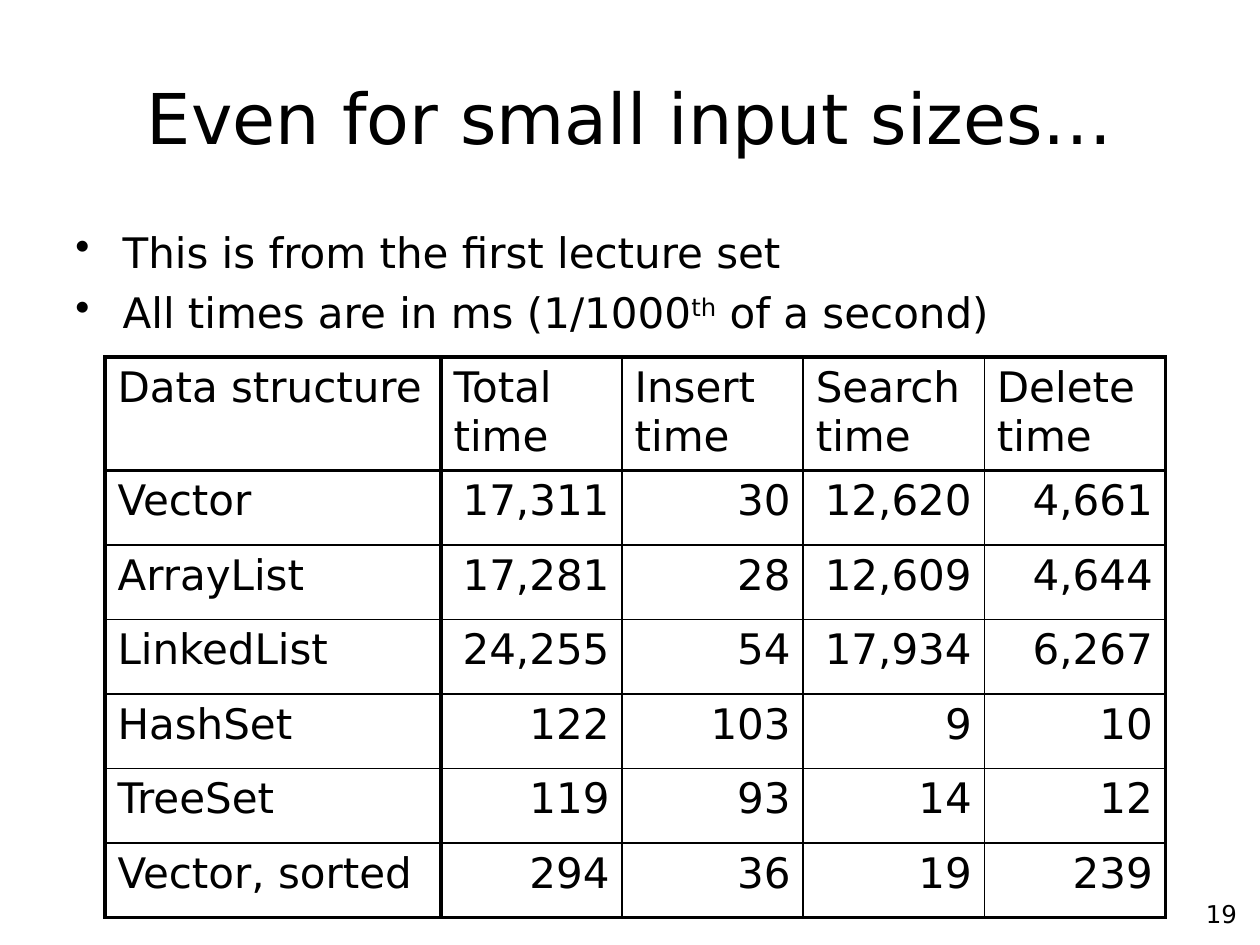
from lxml.etree import SubElement
from pptx import Presentation
from pptx.dml.color import RGBColor
from pptx.enum.text import MSO_ANCHOR, PP_ALIGN
from pptx.oxml.ns import qn
from pptx.util import Pt

BLACK = "000000"
FONT = "DejaVu Sans"
THICK, THIN = 2.25, 1


def style_text(paragraph, size, color=BLACK):
    for run in paragraph.runs:
        run.font.name = FONT
        run.font.size = Pt(size)
        run.font.color.rgb = RGBColor.from_string(color)


def add_border(cell, side, width, color=BLACK):
    line = SubElement(cell._tc.get_or_add_tcPr(), qn(f"a:{side}"), w=str(Pt(width)))
    fill = SubElement(line, qn("a:solidFill"))
    SubElement(fill, qn("a:srgbClr"), val=color)


prs = Presentation()
prs.slide_width, prs.slide_height = Pt(720), Pt(540)
slide = prs.slides.add_slide(prs.slide_layouts[6])

# Slide number and title
labels = [
    ("19", (564, 510, 150, 26.6), 14, PP_ALIGN.RIGHT, MSO_ANCHOR.TOP),
    ("Even for small input sizes…", (36, 21.6, 648, 90), 40,
     PP_ALIGN.CENTER, MSO_ANCHOR.MIDDLE),
]
for text, place, size, alignment, anchor in labels:
    frame = slide.shapes.add_textbox(*map(Pt, place)).text_frame
    frame.word_wrap = True
    frame.vertical_anchor = anchor
    frame.text = text
    frame.paragraphs[0].alignment = alignment
    style_text(frame.paragraphs[0], size)

# Bullets, each a list of (text, baseline shift)
bullets = [
    [("This is from the first lecture set", 0)],
    [("All times are in ms (1/1000", 0), ("th", 30000), (" of a second)", 0)],
]
body = slide.shapes.add_textbox(Pt(36), Pt(126), Pt(648), Pt(356.4)).text_frame
body.word_wrap = True
for index, parts in enumerate(bullets):
    bullet = body.add_paragraph() if index else body.paragraphs[0]
    bullet.space_before = Pt(5.6 if index else 0)
    properties = bullet._p.get_or_add_pPr()
    properties.set("marL", str(Pt(27)))
    properties.set("indent", str(Pt(-27)))
    SubElement(properties, qn("a:buChar"), char="•")
    for text, shift in parts:
        run = bullet.add_run()
        run.text = text
        if shift:
            run.font._element.set("baseline", str(shift))
    style_text(bullet, 24)

# Timing table
timings = [
    ["Data structure", "Total time", "Insert time", "Search time", "Delete time"],
    ["Vector", "17,311", "30", "12,620", "4,661"],
    ["ArrayList", "17,281", "28", "12,609", "4,644"],
    ["LinkedList", "24,255", "54", "17,934", "6,267"],
    ["HashSet", "122", "103", "9", "10"],
    ["TreeSet", "119", "93", "14", "12"],
    ["Vector, sorted", "294", "36", "19", "239"],
]
widths = [192] + [103.5] * 4
heights = [63] + [42.6] * 6
table = slide.shapes.add_table(
    len(heights), len(widths), Pt(60), Pt(204), Pt(sum(widths)), Pt(sum(heights))
).table
table.first_row = table.horz_banding = False
for column, width in zip(table.columns, widths):
    column.width = Pt(width)
for row, height in zip(table.rows, heights):
    row.height = Pt(height)

# Thick lines frame the table, its header row and its first column
last_row, last_column = len(heights) - 1, len(widths) - 1
for r, values in enumerate(timings):
    for c, value in enumerate(values):
        cell = table.cell(r, c)
        cell.text = value
        paragraph = cell.text_frame.paragraphs[0]
        is_label = r == 0 or c == 0
        paragraph.alignment = PP_ALIGN.JUSTIFY if is_label else PP_ALIGN.RIGHT
        style_text(paragraph, 24)
        add_border(cell, "lnL", THICK if c <= 1 else THIN)
        add_border(cell, "lnR", THICK if c in (0, last_column) else THIN)
        add_border(cell, "lnT", THICK if r <= 1 else THIN)
        add_border(cell, "lnB", THICK if r in (0, last_row) else THIN)
        cell.fill.background()

prs.save("out.pptx")
